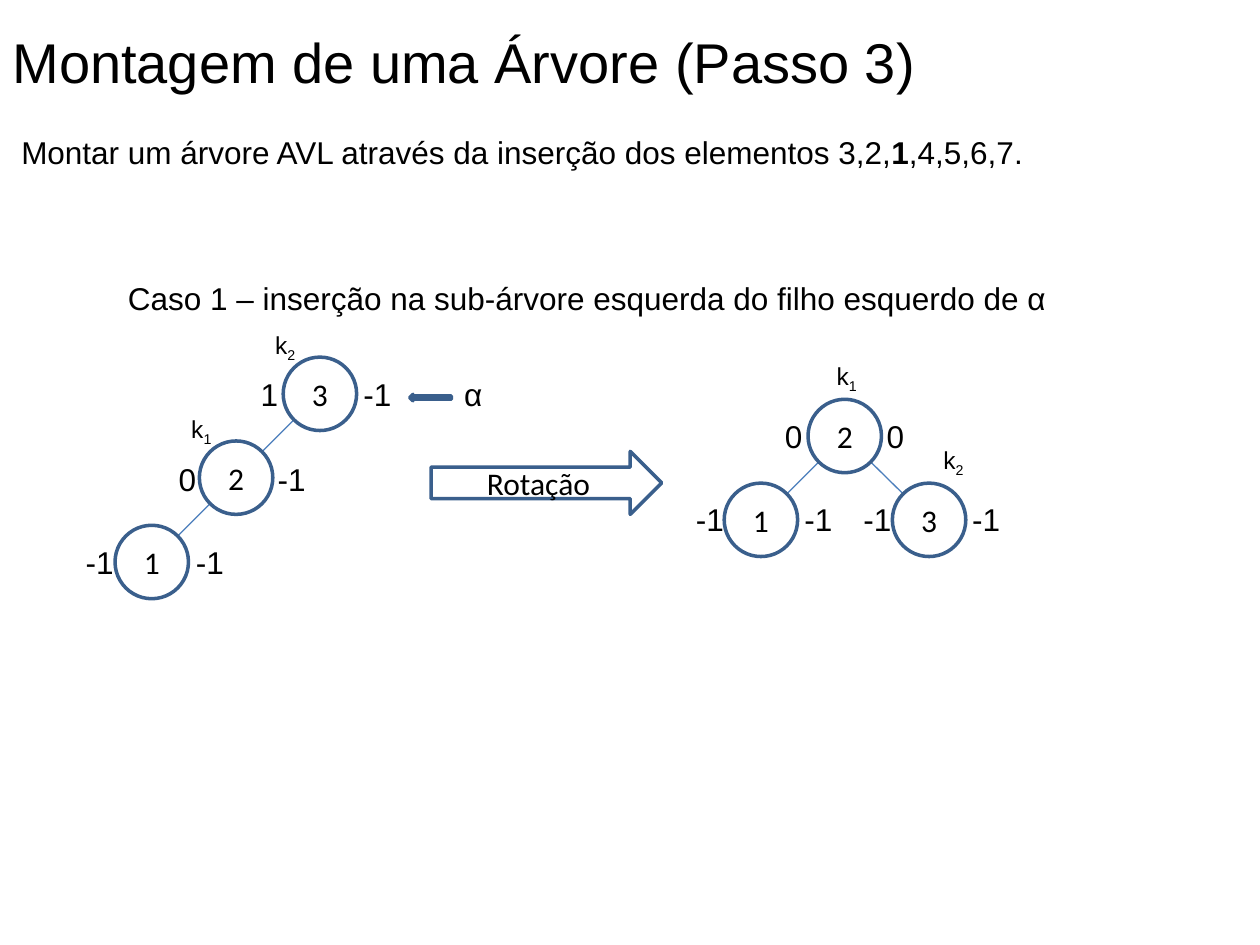
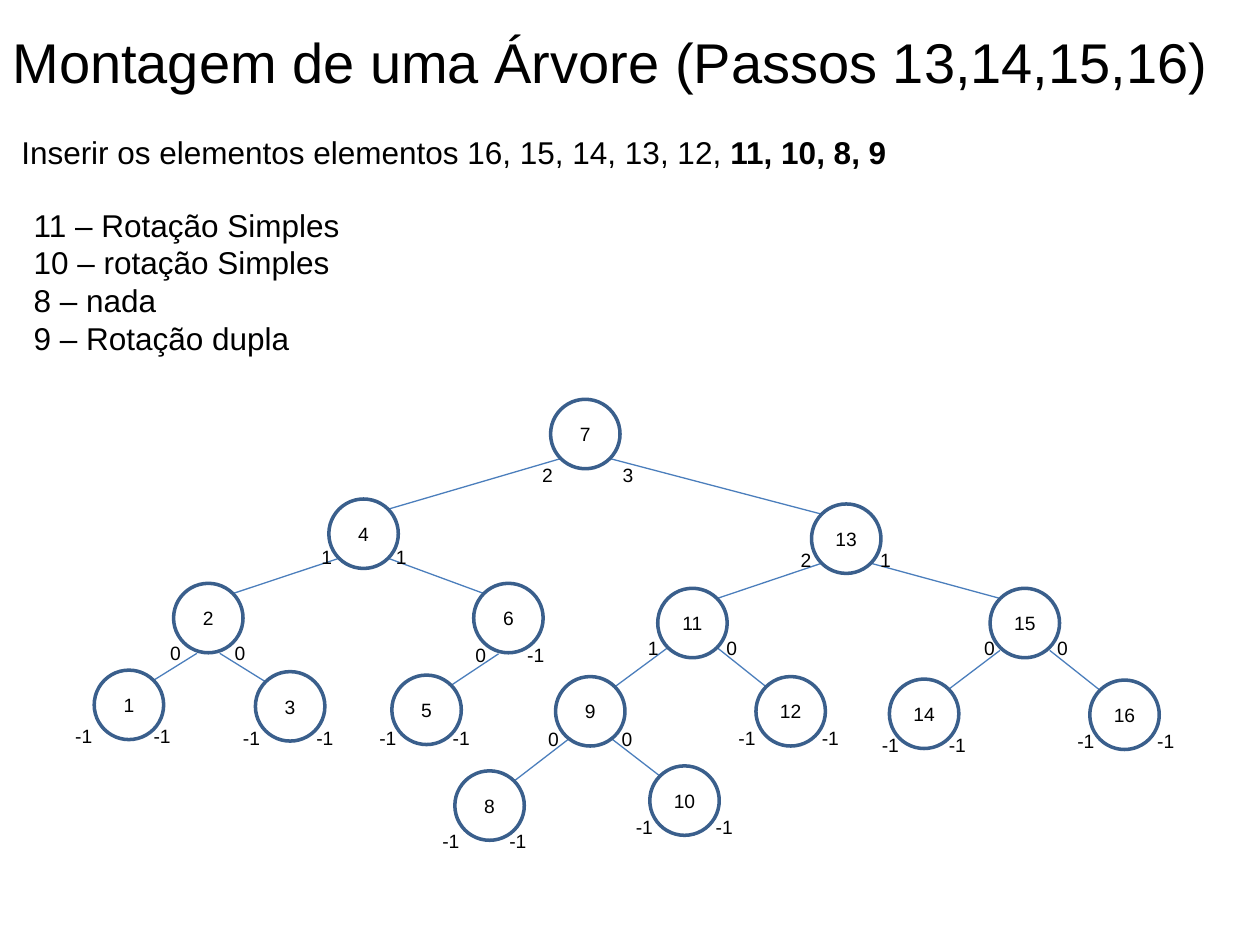
from collections import namedtuple
from math import sqrt

from lxml import etree
from pptx import Presentation
from pptx.dml.color import RGBColor
from pptx.enum.shapes import MSO_CONNECTOR, MSO_SHAPE
from pptx.enum.text import MSO_ANCHOR, PP_ALIGN
from pptx.oxml.ns import qn
from pptx.util import Cm, Pt

LEFT, CENTER = PP_ALIGN.LEFT, PP_ALIGN.CENTER
TOP, MIDDLE = MSO_ANCHOR.TOP, MSO_ANCHOR.MIDDLE
OVAL = MSO_SHAPE.OVAL
LEFT_ARROW, RIGHT_ARROW = MSO_SHAPE.LEFT_ARROW, MSO_SHAPE.RIGHT_ARROW
STRAIGHT = MSO_CONNECTOR.STRAIGHT

TEXT, OUTLINE, EDGE, ARROW_FILL = "000000", "3A5F8C", "4B7EBC", "4F81BD"
FONT, NODE_FONT = "Arial", "Calibri"
LABEL_W, LABEL_H = 1.1, 0.9

# Centre of the node, heights of its left and right subtrees, and the offsets
# of those two labels from the centre; lengths in centimetres.
Node = namedtuple("Node", "x y left right dx_left dx_right dy")

BEFORE = {
    3: Node(6.45, 7.94, "1", "-1", -1.02, 1.16, 0.01),
    2: Node(4.76, 9.63, "0", "-1", -0.98, 1.12, 0.03),
    1: Node(3.06, 11.33, "-1", "-1", -1.05, 1.17, 0),
}
BEFORE_EDGES = [(3, 2), (2, 1)]

AFTER = {
    2: Node(17.03, 8.79, "0", "0", -1.03, 1.02, 0),
    1: Node(15.34, 10.48, "-1", "-1", -1.03, 1.16, -0.02),
    3: Node(18.73, 10.48, "-1", "-1", -1.04, 1.15, -0.02),
}
AFTER_EDGES = [(2, 1), (2, 3)]

FINAL = {
    7: Node(11.8, 8.75, "2", "3", -0.76, 0.86, 0.83),
    4: Node(7.33, 10.76, "1", "1", -0.74, 0.76, 0.46),
    13: Node(17.06, 10.86, "2", "1", -0.81, 0.79, 0.43),
    2: Node(4.2, 12.46, "0", "0", -0.66, 0.64, 0.71),
    6: Node(10.25, 12.46, "0", "-1", -0.56, 0.55, 0.74),
    11: Node(13.96, 12.56, "1", "0", -0.79, 0.79, 0.51),
    15: Node(20.66, 12.56, "0", "0", -0.71, 0.76, 0.51),
    1: Node(2.6, 14.21, "-1", "-1", -0.91, 0.67, 0.63),
    3: Node(5.85, 14.24, "-1", "-1", -0.78, 0.7, 0.63),
    5: Node(8.6, 14.31, "-1", "-1", -0.78, 0.7, 0.56),
    9: Node(11.9, 14.34, "0", "0", -0.74, 0.74, 0.56),
    12: Node(15.94, 14.34, "-1", "-1", -0.88, 0.8, 0.53),
    14: Node(18.63, 14.39, "-1", "-1", -0.68, 0.67, 0.63),
    16: Node(22.67, 14.41, "-1", "-1", -0.78, 0.83, 0.53),
    8: Node(9.87, 16.24, "-1", "-1", -0.78, 0.57, 0.71),
    10: Node(13.8, 16.14, "-1", "-1", -0.81, 0.8, 0.53),
}
FINAL_EDGES = [(7, 4), (7, 13), (4, 2), (4, 6), (13, 11), (13, 15),
               (2, 1), (2, 3), (6, 5), (11, 9), (11, 12),
               (15, 14), (15, 16), (9, 8), (9, 10)]
# Parents whose edges leave closer to the bottom of the circle.
FINAL_STARTS = {2: (0.23, 0.71), 6: (0.2, 0.72),
                15: (0.5, 0.55), 9: (0.4, 0.53)}


def rgb(color):
    return RGBColor.from_string(color)


def add_run(p, text, size, font=FONT, bold=False, subscript=False):
    r = p.add_run()
    r.text = text
    r.font.name = font
    r.font.size = Pt(size)
    r.font.bold = bold
    r.font.color.rgb = rgb(TEXT)
    if subscript:
        r._r.get_or_add_rPr().set("baseline", "-25000")


def add_text(slide, x, y, w, h, size, *paragraphs, wrap=False,
             align=LEFT, anchor=TOP):
    """Each paragraph is a list of (text, run options) pairs."""
    tf = slide.shapes.add_textbox(Cm(x), Cm(y), Cm(w), Cm(h)).text_frame
    tf.word_wrap = wrap
    tf.vertical_anchor = anchor
    for i, runs in enumerate(paragraphs):
        p = tf.add_paragraph() if i else tf.paragraphs[0]
        p.alignment = align
        for text, options in runs:
            add_run(p, text, size, **options)


def add_label(slide, x, y, size, *runs):
    """Short text centred on a point."""
    add_text(slide, x - LABEL_W / 2, y - LABEL_H / 2, LABEL_W, LABEL_H, size,
             runs, align=CENTER, anchor=MIDDLE)


def add_outlined(slide, kind, x, y, w, h, text="", size=18, font=NODE_FONT,
                 fill=None):
    sp = slide.shapes.add_shape(kind, Cm(x), Cm(y), Cm(w), Cm(h))
    sp.shadow.inherit = False
    if fill:
        sp.fill.solid()
        sp.fill.fore_color.rgb = rgb(fill)
    else:
        sp.fill.background()
    sp.line.color.rgb = rgb(OUTLINE)
    sp.line.width = Pt(2)
    if text:
        tf = sp.text_frame
        tf.word_wrap = False
        tf.vertical_anchor = MIDDLE
        p = tf.paragraphs[0]
        p.alignment = CENTER
        add_run(p, text, size, font)


def add_edge(slide, parent, child, diameter, start=None):
    """Line between the diagonal points of two circles."""
    diagonal = diameter / 2 / sqrt(2)
    dx, dy = start or (diagonal, diagonal)
    side = 1 if child.x > parent.x else -1
    line = slide.shapes.add_connector(
        STRAIGHT, Cm(parent.x + side * dx), Cm(parent.y + dy),
        Cm(child.x - side * diagonal), Cm(child.y - diagonal))
    line.line.color.rgb = rgb(EDGE)
    line.line.width = Pt(0.75)
    etree.SubElement(line._element.spPr, qn("a:effectLst"))


def add_tree(slide, nodes, edges, diameter, size, font, starts=None):
    starts = starts or {}
    for parent, child in edges:
        add_edge(slide, nodes[parent], nodes[child], diameter,
                 starts.get(parent))
    for key, n in nodes.items():
        add_outlined(slide, OVAL, n.x - diameter / 2, n.y - diameter / 2,
                     diameter, diameter, str(key), size, font)
        add_label(slide, n.x + n.dx_left, n.y + n.dy, size, (n.left, {}))
        add_label(slide, n.x + n.dx_right, n.y + n.dy, size, (n.right, {}))


def add_k(slide, node, index, dx, dy):
    add_label(slide, node.x + dx, node.y + dy, 14,
              ("k", {}), (index, {"subscript": True}))


def new_slide(prs, title, title_width, *task):
    slide = prs.slides.add_slide(prs.slide_layouts[6])
    add_text(slide, 0, 0.43, title_width, 1.62, 32, [(title, {})])
    add_text(slide, 0.18, 2.56, 24.97, 1.03, 18, task, wrap=True)
    return slide


def build_rotation(prs):
    slide = new_slide(
        prs, "Montagem de uma Árvore (Passo 3)", 19.18,
        ("Montar um árvore AVL através da inserção dos elementos 3,2,", {}),
        ("1", {"bold": True}), (",4,5,6,7.", {}))
    add_text(slide, 2.33, 5.5, 19.2, 1.03, 18, [
        ("Caso 1 – inserção na sub-árvore esquerda do filho esquerdo de α",
         {})])
    for nodes, edges in ((BEFORE, BEFORE_EDGES), (AFTER, AFTER_EDGES)):
        add_tree(slide, nodes, edges, 1.48, 18, NODE_FONT)
    add_k(slide, BEFORE[3], "2", -0.7, -0.95)
    add_k(slide, BEFORE[2], "1", -0.7, -0.95)
    add_k(slide, AFTER[2], "1", 0.04, -1.17)
    add_k(slide, AFTER[3], "2", 0.49, -1.17)
    add_outlined(slide, LEFT_ARROW, 8.26, 7.95, 0.84, 0.13, fill=ARROW_FILL)
    add_label(slide, 9.54, 7.95, 18, ("α", {}))
    add_outlined(slide, RIGHT_ARROW, 8.69, 9.1, 4.65, 1.27, "Rotação")


def build_final_tree(prs):
    slide = new_slide(
        prs, "Montagem de uma Árvore (Passos 13,14,15,16)", 25.12,
        ("Inserir os elementos elementos 16, 15, 14, 13, 12, ", {}),
        ("11, 10, 8, 9", {"bold": True}))
    steps = ["11 – Rotação Simples", "10 – rotação Simples",
             "8 – nada", "9 – Rotação dupla"]
    add_text(slide, 0.43, 4.02, 6.73, 3.33, 18,
             *[[(step, {})] for step in steps])
    add_tree(slide, FINAL, FINAL_EDGES, 1.4, 11, FONT, FINAL_STARTS)


def main():
    prs = Presentation()
    prs.slide_width, prs.slide_height = Cm(25.4), Cm(19.05)
    build_rotation(prs)
    build_final_tree(prs)
    prs.save("out.pptx")


if __name__ == "__main__":
    main()
